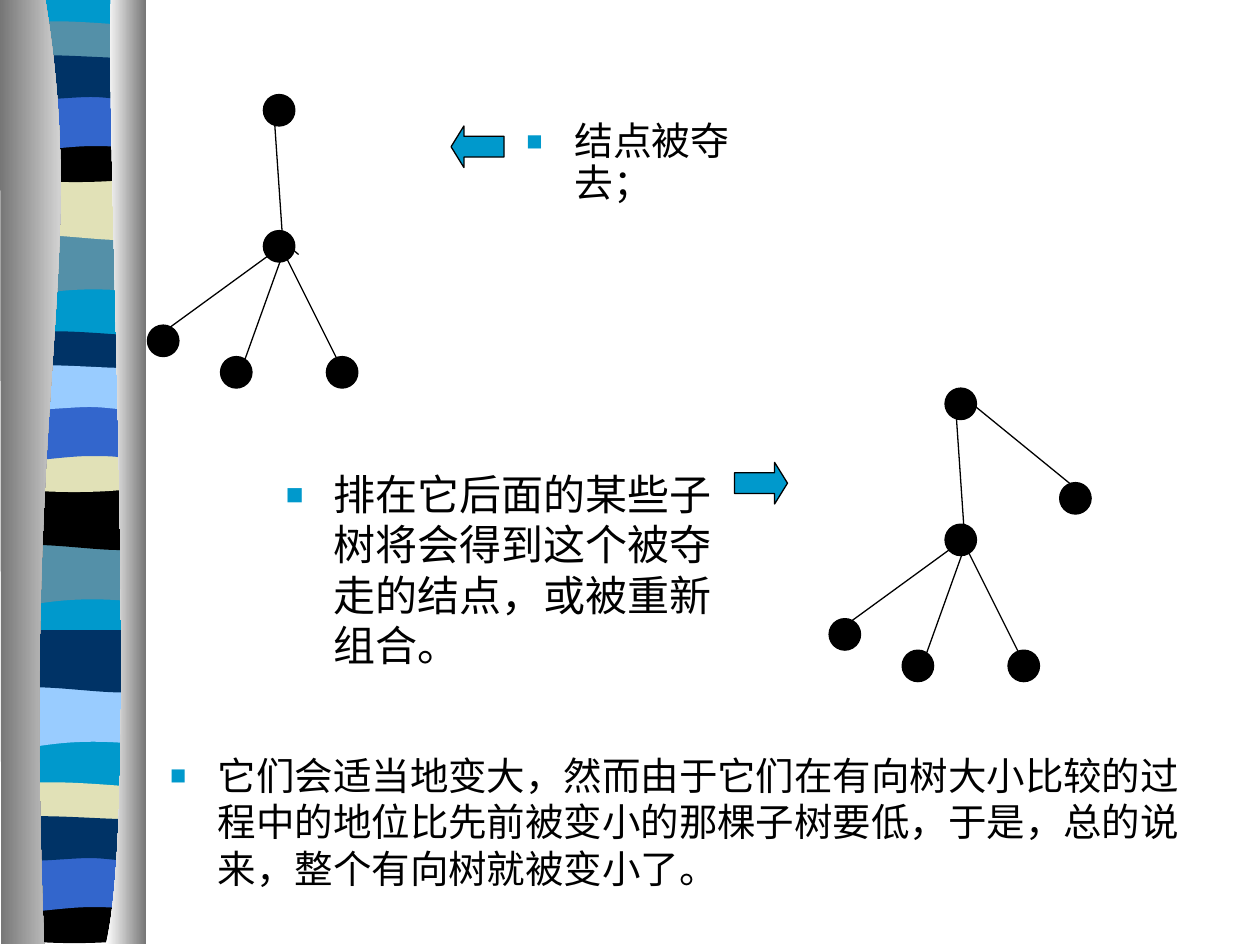
import pptx
import pptx.util
import pptx.dml.color
import pptx.enum.shapes
import pptx.enum.text
import pptx.oxml
import pptx.oxml.ns
import lxml.etree

Inches, Pt, qn = pptx.util.Inches, pptx.util.Pt, pptx.oxml.ns.qn
KIND = pptx.enum.shapes.MSO_SHAPE
BLACK, BLUE, TEAL, NAVY = "000000", "0099CC", "5490A8", "003366"
ROYAL, SAND, SKY = "3366CC", "E1E1B7", "99CCFF"

# Outlines within a tile: start, then lines (x, y) or curves (two handles, end).
WAVES = {
    "fall": [(1.08, 1.69), (1.08, 2.16), (.33, 2.08, .18, 2.24, 0, 2.16), (0, 1.69)],
    "rise": [(1.08, 1.25), (1.08, 1.72), (.9, 1.8, .33, 1.66, 0, 1.72), (0, 1.25)],
    "cap": [(1.08, .05), (1.08, .29), (.9, .33, .18, .33, 0, .29), (0, .05),
            (.06, 0, .23, .01, .41, .01), (.59, .01, .94, .04, 1.08, .05)],
    "low": [(1.08, .92), (1.08, 1.24), (.9, 1.3, .18, 1.3, 0, 1.24), (0, .92),
            (.66, .97, .85, .92, 1.08, .92)],
    "mid": [(1.08, .58), (1.08, 1.05), (.91, 1, .84, 1, .66, 1),
            (.48, 1, .16, 1.05, 0, 1.05), (0, .58)],
    "high": [(1.08, .3), (1.08, .61), (1.01, .66, .84, .61, .66, .61),
             (.48, .61, .11, .66, 0, .61), (0, .3), (.15, .25, .73, .3, .91, .3),
             (1.09, .3, 1.04, .3, 1.08, .3)],
}
# Each tile: left, top, colours by wave.
TILES = [
    (.06, .16, dict(fall=TEAL, rise=SAND, cap=TEAL, low=BLACK, mid=ROYAL, high=NAVY)),
    (.05, 2.62, dict(fall=TEAL, rise=BLACK, cap=NAVY, low=SAND, mid=ROYAL, high=SKY)),
    (.06, 3.75, dict(fall=SKY, rise=NAVY)),
    (.05, 6.2, dict(cap=SAND, low=BLACK, mid=ROYAL, high=NAVY)),
]
FOLDS = [
    ([(.36, 0), (.71, 2.16, .17, 2.96, .35, 7.49), (.01, 7.49), (0, 0)],
     ("767676", "FFFFFF")),
    ([(.88, 0), (.84, 1.25, 1.11, 6.46, .84, 7.49), (1.16, 7.49), (1.16, 0)],
     ("FFFFFF", "767676")),
]
NODES = [(.92, 0), (.92, 1.08), (.58, 2.08), (0, 1.83), (1.42, 2.08)]
EDGES = [(1, .08, 1.08, 1.25), (1, 1.25, .08, 1.92),
         (1.08, 1.25, .75, 2.17), (1.08, 1.25, 1.58, 2.25)]


def hue(code):
    """Turn a hex string into a colour."""
    return pptx.dml.color.RGBColor.from_string(code)


def put(thing, vals):
    """Set attributes from a dict."""
    for name, val in vals.items():
        setattr(thing, name, val)


def paint(shape, fill, line=None):
    """Give a shape its fill and line, without shadow."""
    shape.shadow.inherit = False
    shape.fill.solid()
    shape.fill.fore_color.rgb = hue(fill)
    if line:
        shape.line.color.rgb = hue(line)
        shape.line.width = Pt(.74)
    else:
        shape.line.fill.background()
    return shape


def form(shapes, left, top, parts, fill):
    """Draw a closed outline, its curves as Bezier segments."""
    pts = [(Inches(left + part[i]), Inches(top + part[i + 1]))
           for part in parts for i in range(0, len(part), 2)]
    pen = shapes.build_freeform(*pts[0], scale=1.0)
    pen.add_line_segments(pts[1:], close=True)
    shape = pen.convert_to_shape()
    legs = iter(list(shape._element.iter(qn("a:lnTo"))))
    for part in parts[1:]:
        leg = next(legs)
        if len(part) == 6:
            leg.tag = qn("a:cubicBezTo")
            for more in (next(legs), next(legs)):
                leg.append(more[0])
                more.getparent().remove(more)
    return paint(shape, fill)


def strip(shapes, left, top):
    """Draw the waved strip and the grey folds on it."""
    base = shapes.add_shape(KIND.RECTANGLE, Inches(left + .06), Inches(top),
                            Inches(1.08), Inches(7.46))
    paint(base, BLUE)
    for x, y, tints in TILES:
        for wave, tint in tints.items():
            form(shapes, left + x, top + y, WAVES[wave], tint)
    for parts, tints in FOLDS:
        fold = form(shapes, left, top, parts, tints[0])
        fold.fill.gradient()
        fold.fill.gradient_angle = 0
        for stop, tint, pos in zip(fold.fill.gradient_stops, tints, (0, 1)):
            stop.color.rgb = hue(tint)
            stop.position = pos


def node(shapes, left, top):
    """Draw one black node."""
    dot = shapes.add_shape(KIND.OVAL, Inches(left), Inches(top),
                           Inches(.25), Inches(.25))
    paint(dot, BLACK, BLACK)


def edge(shapes, left, top, ends):
    """Draw one edge between two points of a box."""
    x1, y1, x2, y2 = ends
    line = shapes.add_connector(
        pptx.enum.shapes.MSO_CONNECTOR.STRAIGHT, Inches(left + x1),
        Inches(top + y1), Inches(left + x2), Inches(top + y2))
    line.line.width = Pt(.74)
    line.line.color.rgb = hue(BLACK)
    lxml.etree.SubElement(line._element.spPr, qn("a:effectLst"))


def tree(shapes, left, top, nodes, edges):
    """Draw the common tree with some more nodes and edges."""
    for x, y in NODES + nodes:
        node(shapes, left + x, top + y)
    for ends in EDGES + edges:
        edge(shapes, left, top, ends)


def arrow(shapes, kind, left, top):
    """Draw a block arrow."""
    shape = shapes.add_shape(kind, Inches(left), Inches(top),
                             Inches(.42), Inches(.33))
    shape.adjustments[0], shape.adjustments[1] = .5, .31
    paint(shape, BLUE, BLACK)


def note(shape, box, text, size, gap=6, space=1.0, edge=.1):
    """Place a text shape and fill it with one bullet."""
    put(shape, dict(zip(("left", "top", "width", "height"), map(Inches, box))))
    frame = shape.text_frame
    put(frame, {"word_wrap": True, "margin_right": Inches(edge),
                "auto_size": pptx.enum.text.MSO_AUTO_SIZE.NONE,
                "vertical_anchor": pptx.enum.text.MSO_ANCHOR.TOP})
    para = frame.paragraphs[0]
    put(para, {"space_before": Pt(gap), "line_spacing": space,
               "alignment": pptx.enum.text.PP_ALIGN.LEFT})
    run = para.add_run()
    run.text = text
    put(run.font, {"size": Pt(size), "name": "Times New Roman"})
    run.font.color.rgb = hue(BLACK)
    prop = para._p.get_or_add_pPr()
    prop.set("marL", str(Inches(.38)))
    prop.set("indent", str(Inches(-.38)))
    names = pptx.oxml.ns.nsdecls("a")
    for mark in (f'<a:buClr {names}><a:srgbClr val="{BLUE}"/></a:buClr>',
                 f'<a:buSzPct {names} val="70000"/>',
                 f'<a:buFont {names} typeface="Arial"/>',
                 f'<a:buChar {names} char="■"/>'):
        prop.append(pptx.oxml.parse_xml(mark))


def main():
    """Build the slide and save it."""
    deck = pptx.Presentation()
    put(deck, {"slide_width": Inches(10), "slide_height": Inches(7.5)})
    slide = deck.slides.add_slide(deck.slide_layouts[1])
    shapes = slide.shapes
    title = shapes.title._element
    title.getparent().remove(title)
    strip(shapes, 0, 0)
    note(slide.placeholders[1], (1.25, 5.92, 8.5, 1.25),
         "它们会适当地变大，然而由于它们在有向树大小比较的过程中的地位比先前被变小的那棵子树要低，"
         "于是，总的说来，整个有向树就被变小了。", 22, 5.5)
    tree(shapes, 1.17, .75, [], [(1.08, 1.17, 1.2, 1.27)])
    tree(shapes, 6.58, 3.08, [(1.83, .75)], [(1.08, .08, 2, .83)])
    arrow(shapes, KIND.RIGHT_ARROW, 5.83, 3.67)
    arrow(shapes, KIND.LEFT_ARROW, 3.58, 1)
    for box, text, size, space, edge_gap in (
            ((4.08, .92, 2.33, .5), "结点被夺去；", 22.2, .9, .42),
            ((2.17, 3.67, 3.75, 1.84),
             "排在它后面的某些子树将会得到这个被夺走的结点，或被重新组合。", 24, 1.0, .1)):
        note(shapes.add_textbox(0, 0, 0, 0), box, text, size,
             space=space, edge=edge_gap)
    deck.save("out.pptx")


main()
